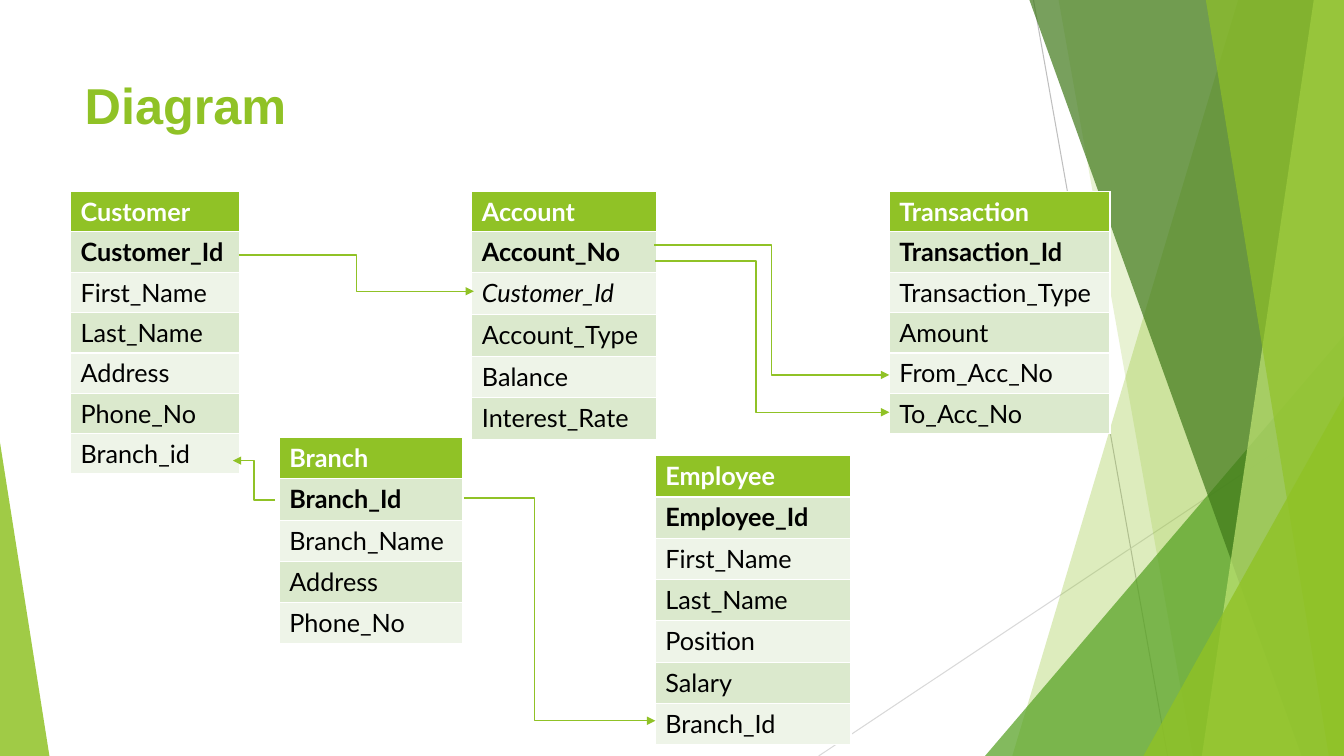
from pptx import Presentation
from pptx.dml.color import RGBColor
from pptx.enum.shapes import MSO_CONNECTOR as Connector, MSO_SHAPE as Shape
from pptx.enum.text import MSO_ANCHOR as Anchor, PP_ALIGN as Align
from pptx.oxml.ns import qn
from pptx.util import Inches, Pt
from lxml.etree import SubElement

WHITE = RGBColor(0xFF, 0xFF, 0xFF)
BLACK = RGBColor(0, 0, 0)
LIME = RGBColor(0x90, 0xC2, 0x26)
GREEN = RGBColor(0x54, 0xA0, 0x21)
FOREST = RGBColor(0x3F, 0x78, 0x19)
PALE_LIME = RGBColor(0xC0, 0xE4, 0x74)
BAND_DARK = RGBColor(0xDB, 0xE9, 0xCD)
BAND_LIGHT = RGBColor(0xEE, 0xF4, 0xE8)
GREY = RGBColor(0xBF, 0xBF, 0xBF)
LIGHT_GREY = RGBColor(0xD9, 0xD9, 0xD9)
WIDTH, HEIGHT = 13.33, 7.5


class DiagramSlide:
    """Holds the slide and draws each kind of element in its style."""

    def __init__(self, slide):
        """Keep the slide to draw on."""
        self.slide = slide
        self.shapes = slide.shapes

    def title(self, text, left, top, width, height):
        """Place and format the title placeholder."""
        heading = self.shapes.title
        heading.left, heading.top = Inches(left), Inches(top)
        heading.width, heading.height = Inches(width), Inches(height)
        heading.text_frame.text = text
        heading.text_frame.vertical_anchor = Anchor.MIDDLE
        paragraph = heading.text_frame.paragraphs[0]
        paragraph.alignment = Align.LEFT
        font = paragraph.font
        font.name, font.size, font.bold = "Arial", Pt(36), True
        font.color.rgb = LIME

    def tint(self, facet, color, opacity):
        """Give a facet a see-through fill without outline or shadow."""
        facet.shadow.inherit = False
        facet.line.fill.background()
        facet.fill.solid()
        facet.fill.fore_color.rgb = color
        clr = facet.fill._xPr.find(qn("a:solidFill"))[0]
        SubElement(clr, qn("a:alpha")).set("val", str(opacity * 1000))

    def ray(self, top_x, bottom_x, color, opacity):
        """Fill from a slanted edge to the right side of the slide."""
        corners = [(top_x, 0), (WIDTH, 0), (WIDTH, HEIGHT), (bottom_x, HEIGHT)]
        points = [(Inches(x), Inches(y)) for x, y in corners]
        builder = self.shapes.build_freeform(*points[0], scale=1.0)
        builder.add_line_segments(points[1:], close=True)
        self.tint(builder.convert_to_shape(), color, opacity)

    def corner(self, left, top, width, apex, color, opacity):
        """Draw a right triangle standing on the bottom edge."""
        facet = self.shapes.add_shape(
            Shape.ISOSCELES_TRIANGLE, Inches(left), Inches(top),
            Inches(width), Inches(HEIGHT - top))
        facet.adjustments[0] = apex
        self.tint(facet, color, opacity)

    def line(self, start, end, color, weight, kind=Connector.STRAIGHT):
        """Draw a connector without shadow and return it."""
        ends = [Inches(value) for value in (*start, *end)]
        connector = self.shapes.add_connector(kind, *ends)
        connector.line.color.rgb = color
        connector.line.width = Pt(weight)
        SubElement(connector._element.spPr, qn("a:effectLst"))
        return connector

    def relation(self, start, end, bend=0.5):
        """Draw an elbow arrow from a key to the field that refers to it."""
        arrow = self.line(start, end, LIME, 1, Connector.ELBOW)
        SubElement(arrow.line._get_or_add_ln(), qn("a:tailEnd")).set("type", "triangle")
        guides = arrow._element.spPr.find(qn("a:prstGeom")).get_or_add_avLst()
        guide = SubElement(guides, qn("a:gd"))
        guide.set("name", "adj1")
        guide.set("fmla", f"val {round(bend * 100000)}")

    def entity(self, left, top, width, row_heights, fields, foreign_key=None):
        """Draw an entity: its name, its bold key and its banded fields."""
        table = self.shapes.add_table(
            len(fields), 1, Inches(left), Inches(top),
            Inches(width), Inches(sum(row_heights))).table
        for index, (field, height) in enumerate(zip(fields, row_heights)):
            table.rows[index].height = Inches(height)
            cell = table.cell(index, 0)
            cell.text = field
            cell.fill.solid()
            band = BAND_DARK if index % 2 else BAND_LIGHT
            cell.fill.fore_color.rgb = band if index else LIME
            font = cell.text_frame.paragraphs[0].font
            font.name, font.size = "Lato", Pt(18)
            font.bold = index < 2
            font.italic = field == foreign_key
            font.color.rgb = BLACK if index else WHITE


presentation = Presentation()
presentation.slide_width, presentation.slide_height = Inches(WIDTH), Inches(HEIGHT)
title_only = presentation.slide_layouts[5]
diagram = DiagramSlide(presentation.slides.add_slide(title_only))

diagram.line((10.25, 0), (11.58, HEIGHT), GREY, 0.75)
diagram.line((WIDTH, 4.03), (8.12, HEIGHT), LIGHT_GREY, 0.75)
diagram.ray(12.28, 10.04, LIME, 30)
diagram.ray(10.5, 11.83, LIME, 20)
diagram.corner(9.77, 3.33, 3.56, 1, GREEN, 72)
diagram.ray(10.21, 12.91, FOREST, 70)
diagram.ray(13.03, 11.92, PALE_LIME, 70)
diagram.ray(11.96, 13.18, LIME, 65)
diagram.corner(11.34, 3.93, 1.99, 1, LIME, 80)
diagram.corner(0, 4.39, 0.49, 0, LIME, 85)

diagram.title("Diagram", 0.74, 0.65, 9.4, 0.78)

diagram.entity(0.7, 1.9, 1.68, [0.4] * 7, [
    "Customer", "Customer_Id", "First_Name", "Last_Name", "Address",
    "Phone_No", "Branch_id"])
diagram.entity(8.82, 1.9, 2.19, [0.4] * 6, [
    "Transaction", "Transaction_Id", "Transaction_Type", "Amount",
    "From_Acc_No", "To_Acc_No"])
diagram.entity(4.68, 1.9, 1.83, [0.4, 0.4, 0.42, 0.42, 0.4, 0.42], [
    "Account", "Account_No", "Customer_Id", "Account_Type", "Balance",
    "Interest_Rate"], foreign_key="Customer_Id")
diagram.entity(6.5, 4.52, 1.94, [0.41] * 7, [
    "Employee", "Employee_Id", "First_Name", "Last_Name", "Position",
    "Salary", "Branch_Id"])

diagram.relation((2.37, 2.53), (4.7, 2.89))
diagram.relation((6.49, 2.43), (8.82, 3.72))
diagram.relation((6.5, 2.59), (8.82, 4.09), bend=0.43)
diagram.relation((4.6, 4.94), (6.5, 7.15), bend=0.37)
diagram.relation((2.73, 4.96), (2.31, 4.57))

diagram.entity(2.77, 4.34, 1.82, [0.41] * 5, [
    "Branch", "Branch_Id", "Branch_Name", "Address", "Phone_No"])

presentation.save("out.pptx")
